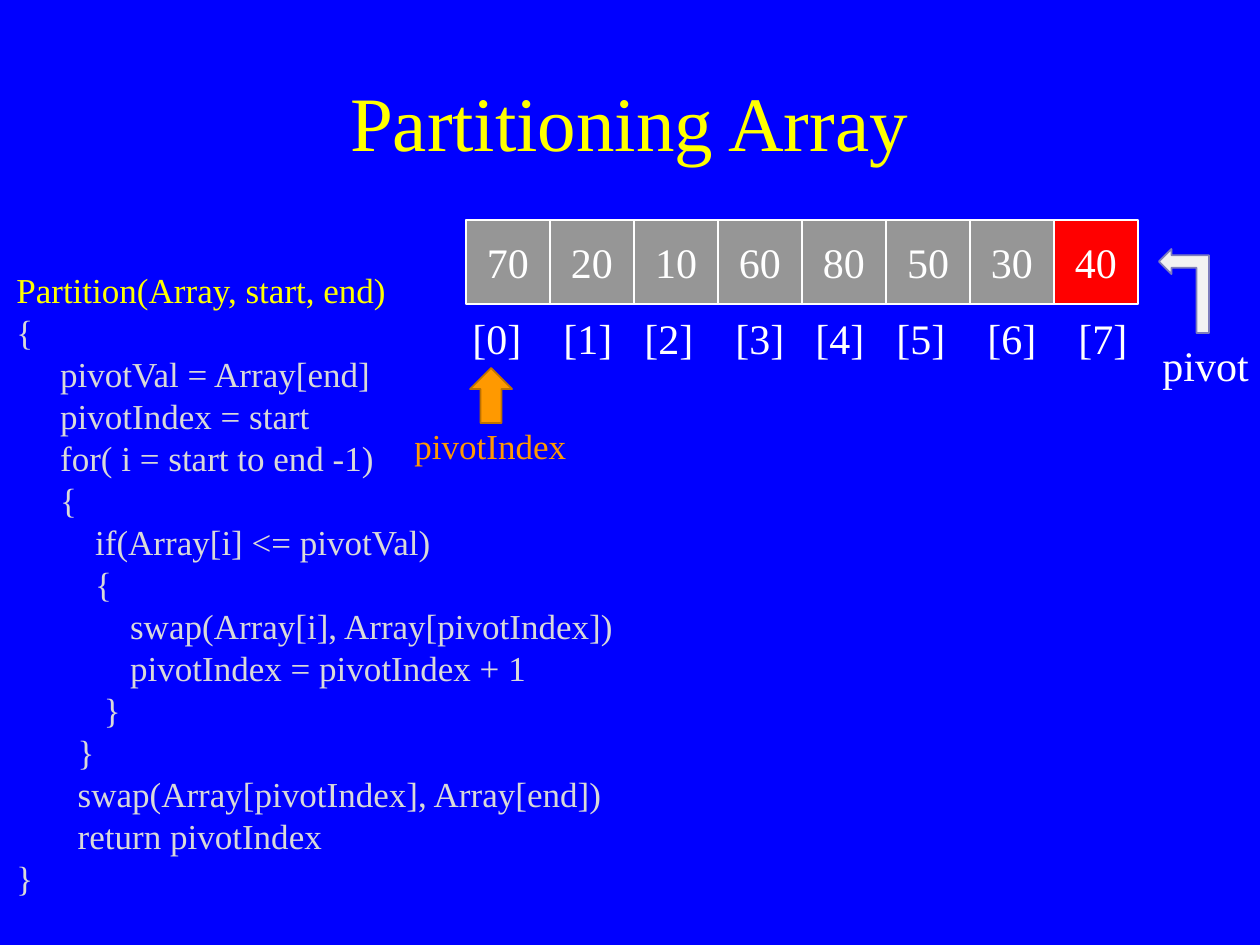
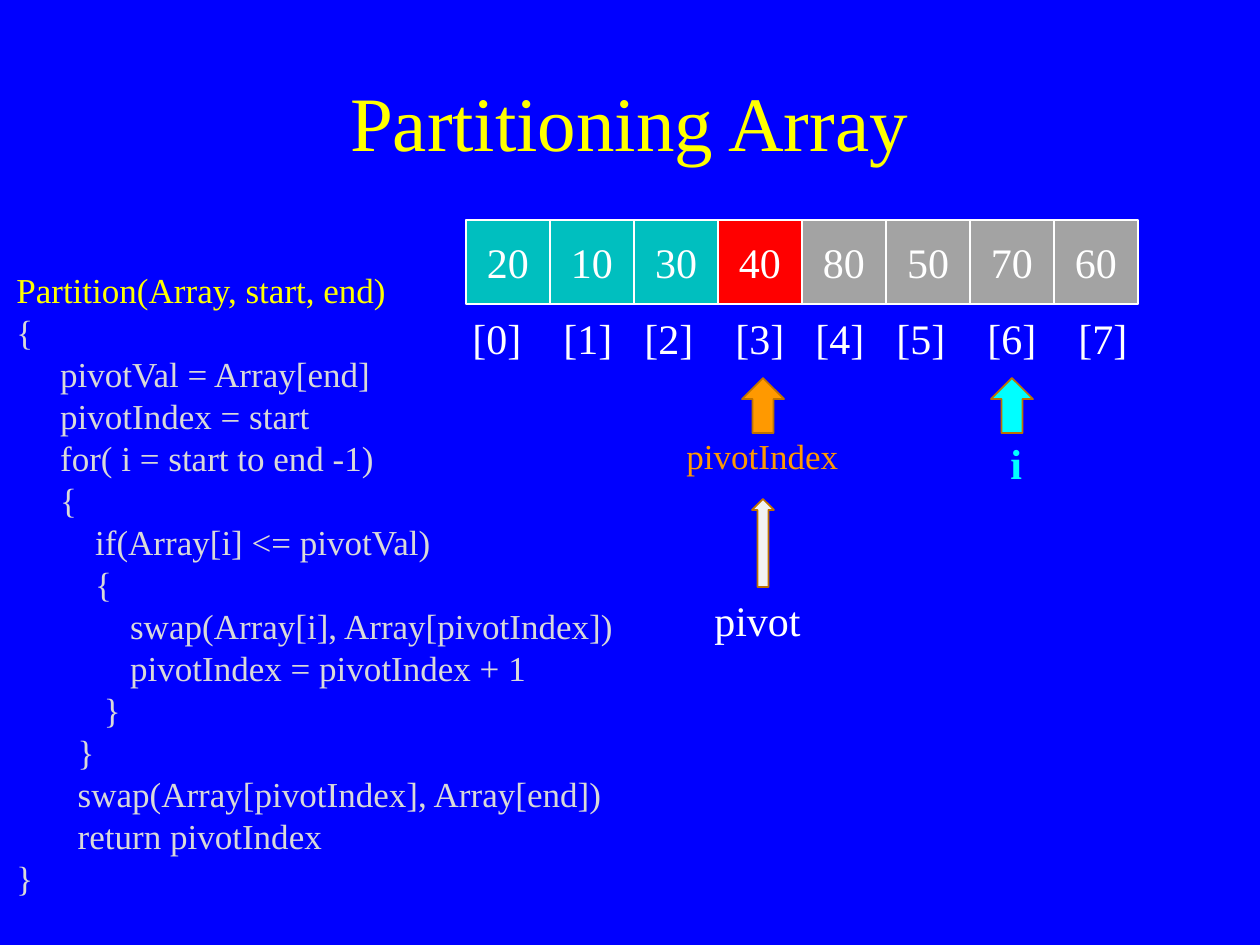
from lxml import etree
from pptx import Presentation
from pptx.dml.color import RGBColor
from pptx.enum.shapes import MSO_SHAPE
from pptx.enum.text import MSO_ANCHOR, PP_ALIGN
from pptx.oxml.ns import qn
from pptx.util import Emu, Pt

RECTANGLE = MSO_SHAPE.RECTANGLE
UP_ARROW = MSO_SHAPE.UP_ARROW
BENT_ARROW = MSO_SHAPE.BENT_UP_ARROW
LEFT, CENTER = PP_ALIGN.LEFT, PP_ALIGN.CENTER
TOP, MIDDLE = MSO_ANCHOR.TOP, MSO_ANCHOR.MIDDLE

PX_PER_INCH = 126
FONT = "Times New Roman"
COLORS = {
    "background": "0000FF",
    "title": "FFFF00",
    "code": "D9D9D9",
    "text": "FFFFFF",
    "unsorted": "969696",
    "larger": "A3A3A3",
    "smaller": "00BFBF",
    "pivot": "FF0000",
    "pivot_arrow": "F2F2F2",
    "bent_line": "7E7EBD",
    "pivot_index": "FF9900",
    "loop_index": "00FFFF",
    "arrow_line": "BD7100",
}

CELL = 84
ARRAY_BOX = (466, 220, 8 * CELL, CELL)
INDEX_BOX = (460, 306, 722, 63)
INDEX_STOPS = (91, 172, 263, 343, 424, 515, 606)
TITLE_BOX = (94, 42, 1071, 158)
CODE_BOX = (4, 262, 980, 649)
CODE_SPACE = Pt(5)

# Each line of the listing with its indent in spaces.
CODE_LINES = (
    (0, "Partition(Array, start, end)"),
    (0, "{"),
    (5, "pivotVal = Array[end]"),
    (5, "pivotIndex = start"),
    (5, "for( i = start to end -1)"),
    (5, "{"),
    (9, "if(Array[i] <= pivotVal)"),
    (9, "{"),
    (13, "swap(Array[i], Array[pivotIndex])"),
    (13, "pivotIndex = pivotIndex + 1"),
    (10, "}"),
    (7, "}"),
    (7, "swap(Array[pivotIndex], Array[end])"),
    (7, "return pivotIndex"),
    (0, "}"),
)


def px(length):
    return Emu(round(length * 914400 / PX_PER_INCH))


def color(name):
    return RGBColor.from_string(COLORS[name])


def format_text(paragraph, text, size=24, fill="text", bold=False, align=LEFT, indent=0):
    paragraph.alignment = align
    if indent:
        paragraph._p.get_or_add_pPr().set("marL", str(indent))
    run = paragraph.add_run()
    run.text = text
    run.font.name = FONT
    run.font.size = Pt(size)
    run.font.bold = bold
    run.font.color.rgb = color(fill)


def add_text_box(slide, box, anchor=TOP):
    frame = slide.shapes.add_textbox(*map(px, box)).text_frame
    frame.word_wrap = True
    frame.vertical_anchor = anchor
    return frame


def add_label(slide, box, text, anchor=TOP, **text_format):
    frame = add_text_box(slide, box, anchor)
    format_text(frame.paragraphs[0], text, **text_format)
    return frame


def add_figure(slide, kind, box, fill, line, line_width=1):
    shape = slide.shapes.add_shape(kind, *map(px, box))
    shape.shadow.inherit = False
    shape.fill.solid()
    shape.fill.fore_color.rgb = color(fill)
    shape.line.color.rgb = color(line)
    shape.line.width = Pt(line_width)
    return shape


def add_code(slide, box):
    frame = add_text_box(slide, box)
    for number, (spaces, text) in enumerate(CODE_LINES):
        paragraph = frame.add_paragraph() if number else frame.paragraphs[0]
        format_text(paragraph, text, size=20, indent=spaces * CODE_SPACE,
                    fill="code" if number else "title")


def add_array(slide, box, cells):
    left, top, width, height = box
    cell_width = width // len(cells)
    for position, (value, fill) in enumerate(cells):
        cell_box = (left + position * cell_width, top, cell_width, height)
        cell = add_figure(slide, RECTANGLE, cell_box, fill, "text", 0.75)
        cell.text_frame.word_wrap = False
        cell.text_frame.vertical_anchor = MIDDLE
        format_text(cell.text_frame.paragraphs[0], str(value), align=CENTER)


def add_indexes(slide, box):
    """Write the index of each cell, set apart by tab stops."""
    labels = "\t".join(f"[{index}]" for index in range(len(INDEX_STOPS) + 1))
    frame = add_label(slide, box, labels)
    properties = frame.paragraphs[0]._p.get_or_add_pPr()
    tab_list = etree.SubElement(properties, qn("a:tabLst"))
    for stop in INDEX_STOPS:
        etree.SubElement(tab_list, qn("a:tab"), pos=str(px(stop)), algn="l")


def add_pivot_index(slide, box):
    left, top, width, height = box
    add_figure(slide, UP_ARROW, (left + 68, top, 42, 55), "pivot_index", "arrow_line")
    add_label(slide, (left, top + 50, width, height - 50), "pivotIndex",
              size=20, fill="pivot_index")


def add_loop_index(slide, box):
    left, top, width, height = box
    add_figure(slide, UP_ARROW, (left, top, width, 55), "loop_index", "arrow_line")
    add_label(slide, (left + 7, top + 53, width, height - 53), "i",
              fill="loop_index", bold=True)


def add_bent_pivot(slide, box):
    left, top, width, height = box
    arrow = add_figure(slide, BENT_ARROW, (left, top + 17, 84, 50),
                       "pivot_arrow", "bent_line")
    arrow.rotation = 270
    add_label(slide, (left + 8, top + 84, width - 8, height - 84), "pivot")


def add_straight_pivot(slide, box):
    left, top, width, height = box
    add_figure(slide, UP_ARROW, (left + 50, top, 22, 88), "pivot_arrow", "arrow_line")
    add_label(slide, (left, top + 89, width, height - 89), "pivot")


def add_partition_slide(presentation, cells):
    slide = presentation.slides.add_slide(presentation.slide_layouts[6])
    slide.background.fill.solid()
    slide.background.fill.fore_color.rgb = color("background")
    add_label(slide, TITLE_BOX, "Partitioning Array", MIDDLE,
              size=44, fill="title", align=CENTER)
    add_code(slide, CODE_BOX)
    add_array(slide, ARRAY_BOX, cells)
    add_indexes(slide, INDEX_BOX)
    return slide


def main():
    presentation = Presentation()
    presentation.slide_width = px(1260)
    presentation.slide_height = px(945)

    unsorted = [(value, "unsorted") for value in (70, 20, 10, 60, 80, 50, 30)]
    start = add_partition_slide(presentation, unsorted + [(40, "pivot")])
    add_pivot_index(start, (402, 368, 212, 105))
    add_bent_pivot(start, (1142, 249, 124, 147))

    smaller = [(value, "smaller") for value in (20, 10, 30)]
    larger = [(value, "larger") for value in (80, 50, 70, 60)]
    finish = add_partition_slide(presentation, smaller + [(40, "pivot")] + larger)
    add_loop_index(finish, (991, 378, 42, 116))
    add_straight_pivot(finish, (702, 499, 116, 152))
    add_pivot_index(finish, (674, 378, 212, 105))

    presentation.save("out.pptx")


if __name__ == "__main__":
    main()
